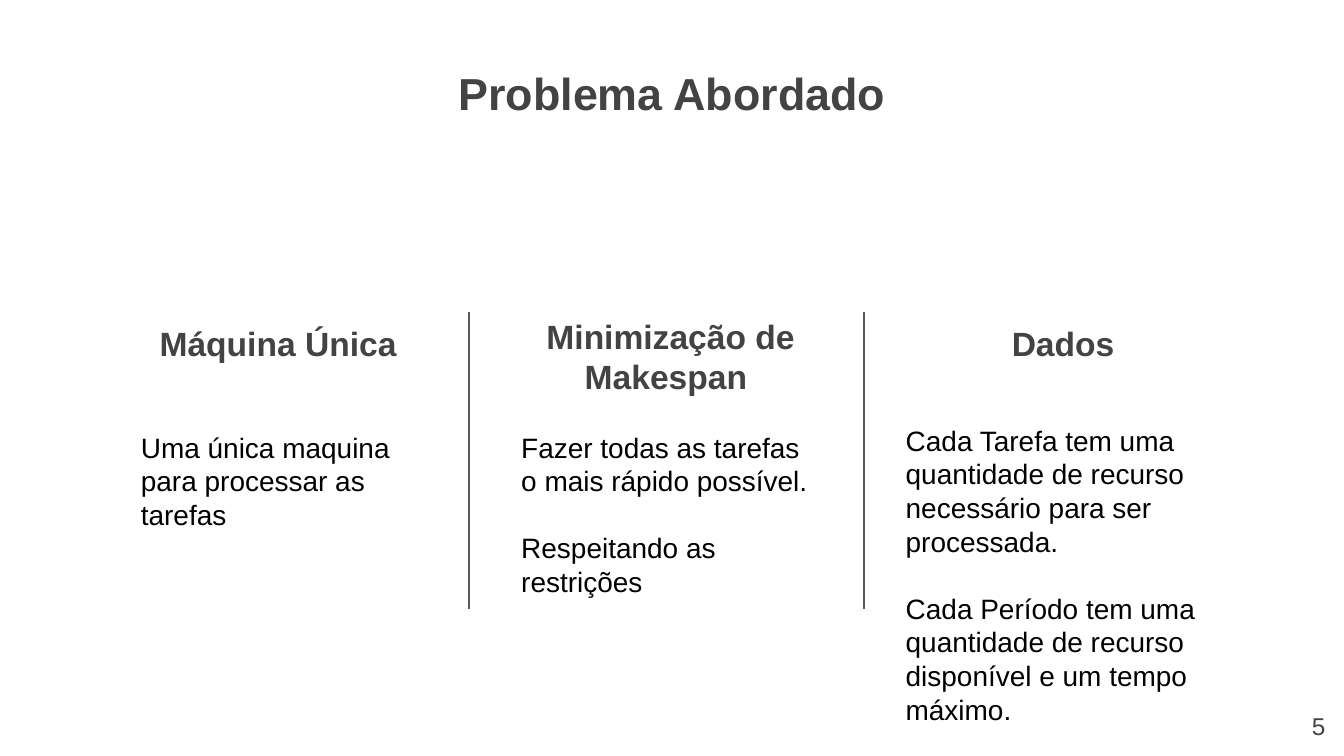
from dataclasses import dataclass
from pptx import Presentation
from pptx.dml.color import RGBColor as RGB
from pptx.enum.shapes import MSO_CONNECTOR as Conn
from pptx.enum.text import MSO_ANCHOR as Anchor, PP_ALIGN as Align
from pptx.oxml.ns import qn
from pptx.util import Inches, Pt
from lxml.etree import SubElement


@dataclass(frozen=True)
class Theme:
    font: str = "Arial"
    dark: RGB = RGB(0x43, 0x43, 0x43)
    black: RGB = RGB(0, 0, 0)
    rule: RGB = RGB(0x59, 0x59, 0x59)
    title: int = 24
    head: int = 18
    body: int = 15
    page: int = 13
    gap: int = 18


theme = Theme()
deck = Presentation()
deck.slide_width = Inches(10)
deck.slide_height = Inches(10 * 9 / 16)
slide = deck.slides.add_slide(deck.slide_layouts[6])


def write(text, box, size, color=theme.dark, bold=False,
          align=Align.LEFT, anchor=Anchor.TOP):
    frame = slide.shapes.add_textbox(*map(Inches, box)).text_frame
    frame.word_wrap = True
    frame.vertical_anchor = anchor
    frame.margin_left = frame.margin_right = Inches(0.1)
    frame.margin_top = frame.margin_bottom = Inches(0.1)
    frame.text = text
    for index, para in enumerate(frame.paragraphs):
        para.alignment = align
        para.space_before = Pt(theme.gap if index else 0)
        font = para.runs[0].font
        font.name, font.size, font.bold = theme.font, Pt(size), bold
        font.color.rgb = color


top, left, width = 2.32, 0.61, 2.92
columns = [
    ("Máquina Única", 0.48, (0.95, 3.1, 2.24, 1.1),
     "Uma única maquina para processar as tarefas"),
    ("Minimização de Makespan ", 0.73, (3.78, 3.1, 2.43, 1.66),
     "Fazer todas as tarefas o mais rápido possível.\n"
     "Respeitando as restrições"),
    ("Dados", 0.48, (6.64, 3.05, 2.92, 2.39),
     "Cada Tarefa tem uma quantidade de recurso necessário para ser processada.\n"
     "Cada Período tem uma quantidade de recurso disponível e um tempo máximo."),
]
for index, (head, height, box, body) in enumerate(columns):
    write(head, (left + index * width, top, width, height), theme.head,
          bold=True, align=Align.CENTER, anchor=Anchor.BOTTOM)
    write(body, box, theme.body, color=theme.black)

write("Problema Abordado", (2.15, 0.39, 5.7, 1.03), theme.title,
      bold=True, align=Align.CENTER)
write("5", (9.36, 5.19, 0.6, 0.43), theme.page, align=Align.RIGHT)

for x in (3.49, 6.43):
    rule = slide.shapes.add_connector(
        Conn.STRAIGHT, Inches(x), Inches(top), Inches(x), Inches(4.53))
    rule.line.color.rgb = theme.rule
    rule.line.width = Pt(0.75)
    SubElement(rule._element.spPr, qn("a:effectLst"))

deck.save("out.pptx")
